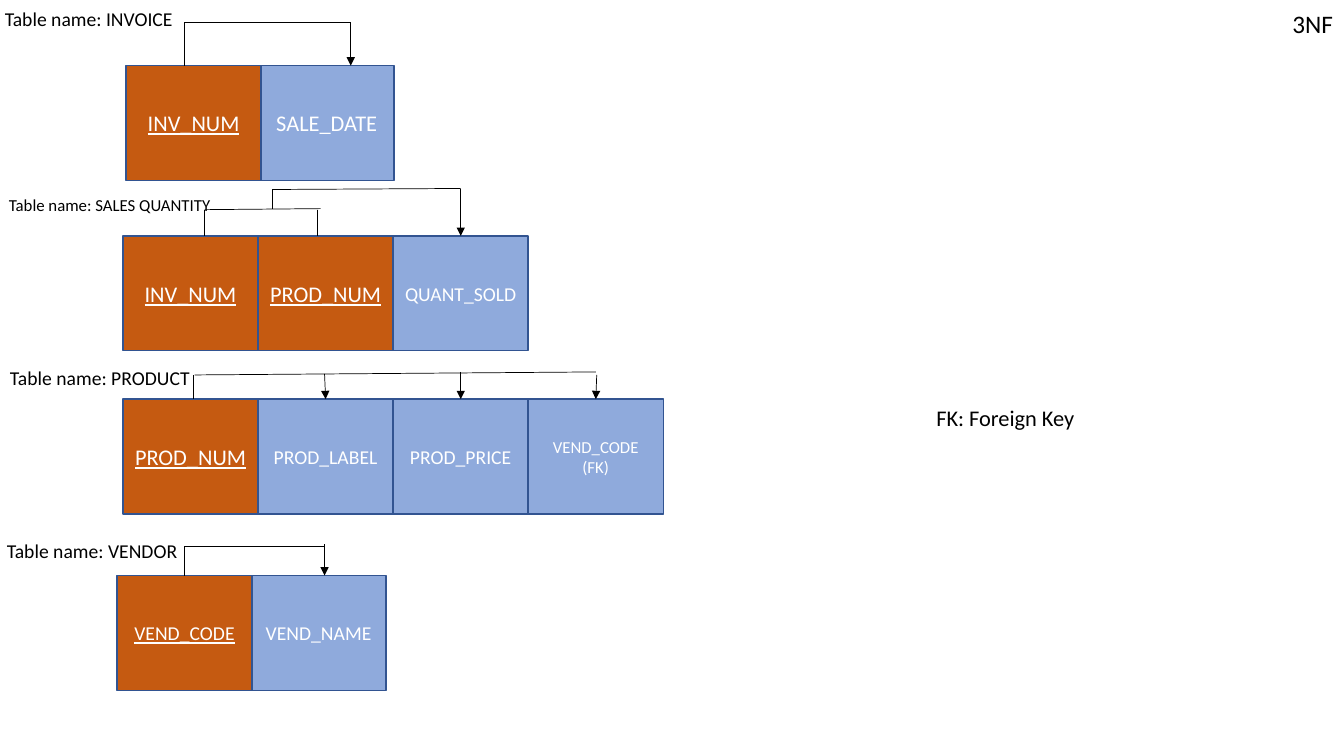
import dataclasses

import pptx
import pptx.dml.color
import pptx.enum.shapes
import pptx.enum.text
import pptx.oxml
import pptx.oxml.ns
import pptx.util

BLACK = pptx.dml.color.RGBColor(0x00, 0x00, 0x00)
WHITE = pptx.dml.color.RGBColor(0xFF, 0xFF, 0xFF)
KEY_FILL = pptx.dml.color.RGBColor(0xC5, 0x5A, 0x11)
FIELD_FILL = pptx.dml.color.RGBColor(0x8F, 0xAA, 0xDC)
BORDER = pptx.dml.color.RGBColor(0x32, 0x54, 0x91)
FONT = "Calibri"
TITLE_ONLY = 5

# The page is a grid of 100 columns and 75 rows.
COLUMN = pptx.util.Inches(13.33) / 100
ROW = pptx.util.Inches(7.5) / 75
CELL_WIDTH, CELL_HEIGHT = 10.05, 11.4


@dataclasses.dataclass(frozen=True)
class Place:
    """A rectangle in grid columns and rows."""
    left: float
    top: float
    width: float
    height: float


@dataclasses.dataclass(frozen=True)
class Field:
    """One attribute of a relation."""
    name: str
    size: int
    key: bool = False


@dataclasses.dataclass(frozen=True)
class Link:
    """One segment of a dependency line, in grid columns and rows."""
    x1: float
    y1: float
    x2: float
    y2: float
    arrow: bool = False


@dataclasses.dataclass(frozen=True)
class Relation:
    """A named relation with its fields and dependency lines."""
    name: str
    label: Place
    label_size: int
    left: float
    top: float
    fields: tuple[Field, ...]
    links: tuple[Link, ...]
    step: float = CELL_WIDTH


RELATIONS = (
    Relation("INVOICE", Place(-0.38, 0.2, 14.1, 3.4), 14, 9.38, 6.5,
             (Field("INV_NUM", 16, True), Field("SALE_DATE", 16)),
             (Link(13.73, 2.2, 26.1, 2.2), Link(13.73, 2.2, 13.73, 6.5),
              Link(26.1, 2.2, 26.1, 6.5, True)), step=9.9),
    Relation("SALES QUANTITY", Place(-0.08, 18.8, 16.73, 3), 12, 9.15, 23.4,
             (Field("INV_NUM", 16, True), Field("PROD_NUM", 16, True),
              Field("QUANT_SOLD", 14)),
             (Link(15.23, 20.8, 15.23, 23.4), Link(15.23, 20.8, 23.85, 20.7),
              Link(23.63, 20.8, 23.63, 23.4), Link(20.25, 18.8, 34.28, 18.7),
              Link(20.25, 18.9, 20.25, 20.7), Link(34.28, 18.8, 34.28, 23.4, True))),
    Relation("PRODUCT", Place(0, 35.8, 15, 3.4), 14, 9.15, 39.6,
             (Field("PROD_NUM", 16, True), Field("PROD_LABEL", 14),
              Field("PROD_PRICE", 14), Field("VEND_CODE (FK)", 12)),
             (Link(14.4, 37.2, 14.4, 39.6), Link(14.48, 37.2, 44.33, 36.9),
              Link(24.15, 37.1, 24.23, 39.6, True), Link(34.28, 36.9, 34.28, 39.6, True),
              Link(44.4, 37.2, 44.33, 39.6, True))),
    Relation("VENDOR", Place(-0.23, 53, 14.33, 3.4), 14, 8.7, 57.1,
             (Field("VEND_CODE", 14, True), Field("VEND_NAME", 14)),
             (Link(13.73, 54.2, 13.73, 57.1), Link(13.73, 54.2, 24.15, 54.2),
              Link(24.15, 54, 24.15, 57.1, True)), step=9.98),
)


def across(columns: float) -> pptx.util.Emu:
    """Turn grid columns into a length."""
    return pptx.util.Emu(round(columns * COLUMN))


def down(rows: float) -> pptx.util.Emu:
    """Turn grid rows into a length."""
    return pptx.util.Emu(round(rows * ROW))


def corners(place: Place) -> tuple:
    """Give a place as left, top, width and height lengths."""
    return across(place.left), down(place.top), across(place.width), down(place.height)


def write(box, text: str, size: int, color, underline: bool = False, align=None) -> None:
    """Put one formatted span into a box."""
    para = box.text_frame.paragraphs[0]
    para.alignment = align
    span = para.add_run()
    span.text = text
    span.font.name = FONT
    span.font.size = pptx.util.Pt(size)
    span.font.color.rgb = color
    if underline:
        span.font.underline = True


def add_label(page, text: str, place: Place, size: int, wrap: bool = False) -> None:
    """Add a plain black text box."""
    box = page.shapes.add_textbox(*corners(place))
    box.text_frame.word_wrap = wrap
    box.text_frame.auto_size = pptx.enum.text.MSO_AUTO_SIZE.SHAPE_TO_FIT_TEXT
    write(box, text, size, BLACK)


def set_title(page, text: str, place: Place) -> None:
    """Move the title placeholder and fill it."""
    title = page.shapes.title
    title.left, title.top, title.width, title.height = corners(place)
    title.text_frame.word_wrap = False
    title.text_frame.auto_size = pptx.enum.text.MSO_AUTO_SIZE.NONE
    title.text_frame.vertical_anchor = pptx.enum.text.MSO_ANCHOR.TOP
    write(title, text, 18, BLACK, align=pptx.enum.text.PP_ALIGN.LEFT)


def add_field(page, field: Field, left: float, top: float) -> None:
    """Draw one field as a bordered cell."""
    cell = page.shapes.add_shape(pptx.enum.shapes.MSO_SHAPE.RECTANGLE,
                                 *corners(Place(left, top, CELL_WIDTH, CELL_HEIGHT)))
    cell.shadow.inherit = False
    cell.fill.solid()
    cell.fill.fore_color.rgb = KEY_FILL if field.key else FIELD_FILL
    cell.line.color.rgb = BORDER
    cell.line.width = pptx.util.Pt(1)
    cell.text_frame.word_wrap = True
    cell.text_frame.vertical_anchor = pptx.enum.text.MSO_ANCHOR.MIDDLE
    write(cell, field.name, field.size, WHITE, field.key, pptx.enum.text.PP_ALIGN.CENTER)


def add_link(page, link: Link) -> None:
    """Draw one thin segment, with an arrowhead where asked."""
    line = page.shapes.add_connector(pptx.enum.shapes.MSO_CONNECTOR.STRAIGHT,
                                     across(link.x1), down(link.y1),
                                     across(link.x2), down(link.y2))
    line.line.color.rgb = BLACK
    line.line.width = pptx.util.Pt(0.5)
    if link.arrow:
        head = pptx.oxml.parse_xml(
            f'<a:tailEnd {pptx.oxml.ns.nsdecls("a")} type="triangle"/>')
        line.line._get_or_add_ln().append(head)
    line._element.spPr.append(
        pptx.oxml.parse_xml(f'<a:effectLst {pptx.oxml.ns.nsdecls("a")}/>'))


def add_relation(page, relation: Relation) -> None:
    """Draw a relation, its key fields above the others."""
    for index, field in reversed(list(enumerate(relation.fields))):
        add_field(page, field, relation.left + index * relation.step, relation.top)
    for link in relation.links:
        add_link(page, link)
    add_label(page, f"Table name: {relation.name}", relation.label, relation.label_size)


def main() -> None:
    """Build the page and save the deck."""
    deck = pptx.Presentation()
    deck.slide_width, deck.slide_height = across(100), down(75)
    page = deck.slides.add_slide(deck.slide_layouts[TITLE_ONLY])
    set_title(page, "3NF", Place(95.4, 0.3, 4.58, 4))
    for relation in RELATIONS:
        add_relation(page, relation)
    add_label(page, "FK: Foreign Key", Place(68.93, 39.6, 13.95, 3.7), 16, wrap=True)
    deck.save("out.pptx")


main()
